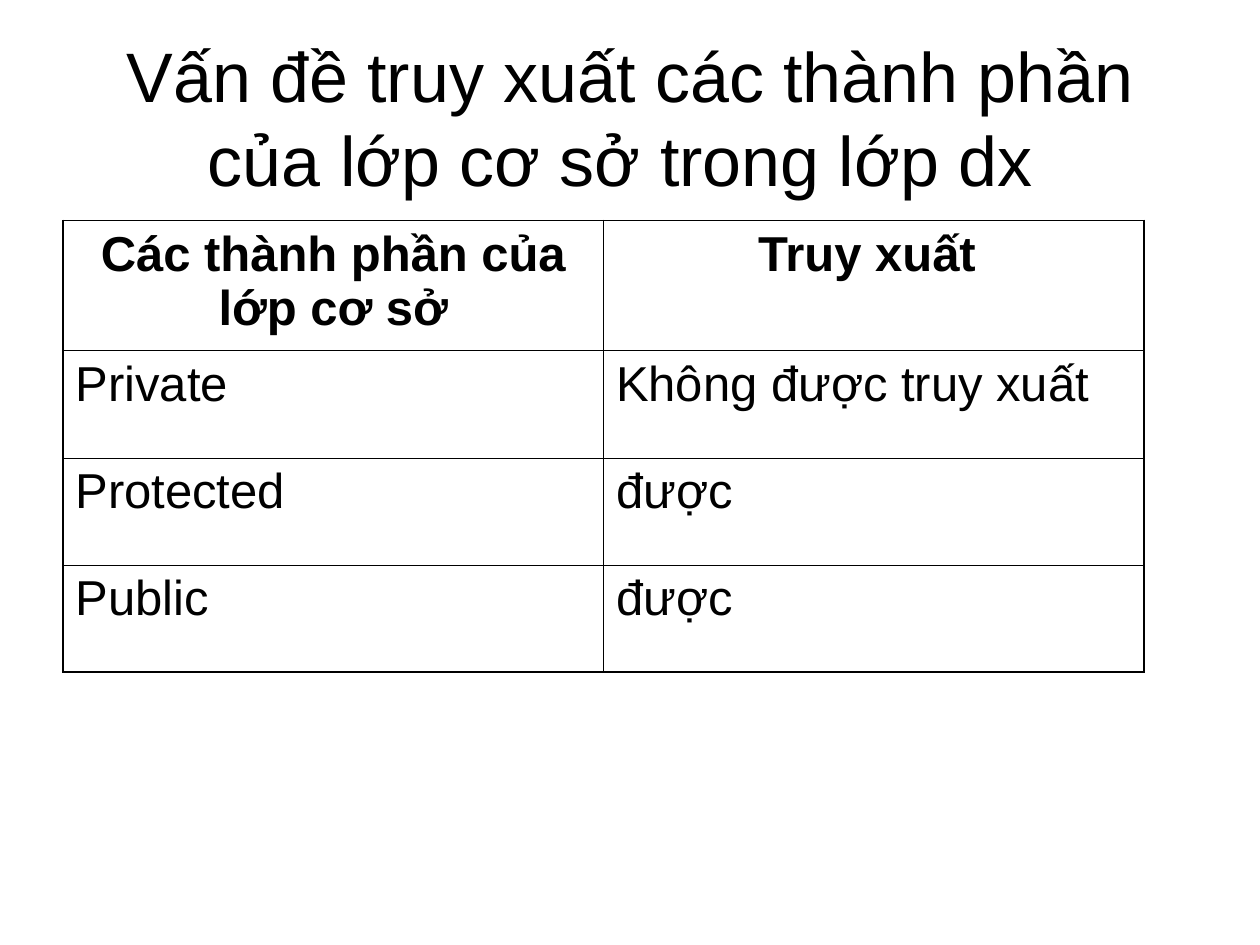
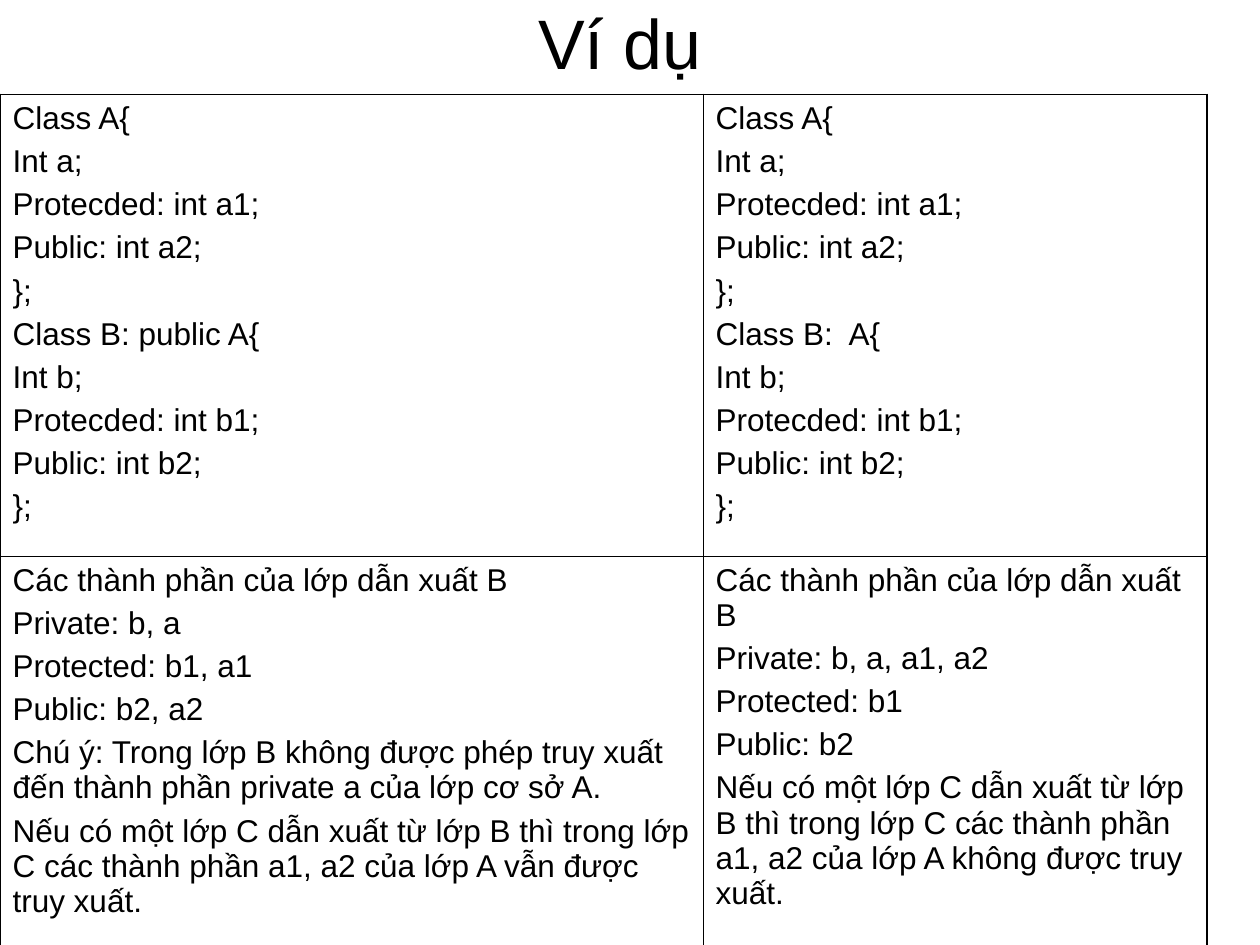
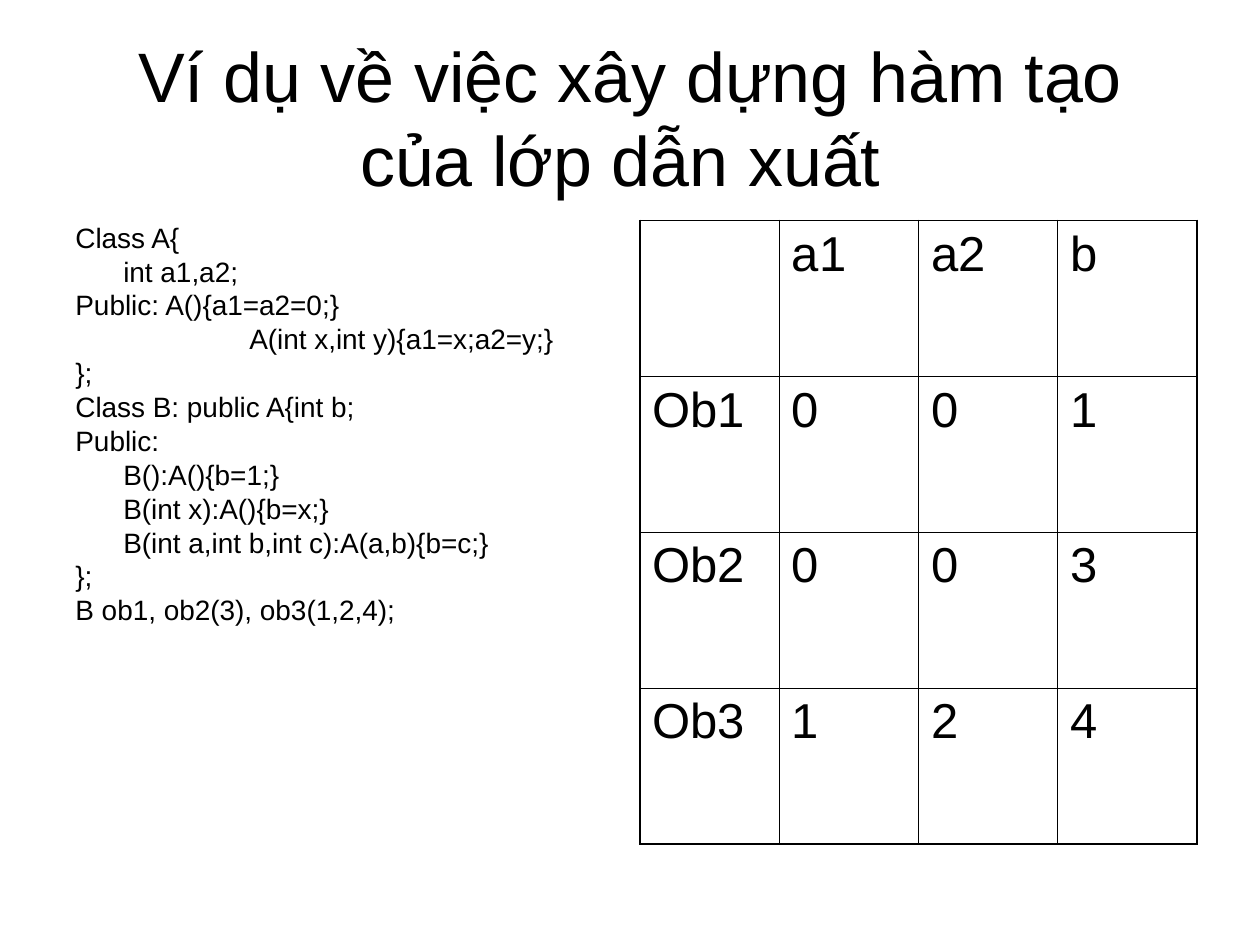
from dataclasses import dataclass

from lxml.etree import SubElement
from pptx import Presentation
from pptx.dml.color import RGBColor
from pptx.enum.text import MSO_ANCHOR, PP_ALIGN
from pptx.oxml.ns import qn
from pptx.util import Inches, Pt


@dataclass(frozen=True)
class Theme:
    font: str = "Arial"
    ink: str = "000000"
    title_size: float = 40
    table_size: float = 28
    example_size: float = 18
    code_size: float = 16
    outer_line: float = 1.08
    inner_line: float = 0.45


THEME = Theme()
BODY_TOP = 1.75
CODE_INDENTS = (0, 0.38, 1.38)

ACCESS_ROWS = [
    ["Các thành phần của lớp cơ sở", "Truy xuất "],
    ["Private", "Không được truy xuất"],
    ["Protected", "được"],
    ["Public", "được"],
]

# The two class listings differ only in how B inherits from A
CLASS_LISTING = """Class A{{
Int a;
Protecded: int a1;
Public: int a2;
}};
Class B: {inheritance} A{{
Int b;
Protecded: int b1;
Public: int b2;
}};"""

PUBLIC_RESULT = """Các thành phần của lớp dẫn xuất B
Private: b, a
Protected: b1, a1
Public: b2, a2
Chú ý: Trong lớp B không được phép truy xuất đến thành phần private a của lớp cơ sở A.
Nếu có một lớp C dẫn xuất từ lớp B thì trong lớp C các thành phần a1, a2 của lớp A vẫn được truy xuất."""

PRIVATE_RESULT = """Các thành phần của lớp dẫn xuất B
Private: b, a, a1, a2
Protected: b1
Public: b2
Nếu có một lớp C dẫn xuất từ lớp B thì trong lớp C các thành phần a1, a2 của lớp A không được truy xuất."""

# Indent level and text of each code line
CONSTRUCTOR_CODE = [
    (0, "Class A{"),
    (1, "int a1,a2;"),
    (0, "Public: A(){a1=a2=0;}"),
    (2, "A(int x,int y){a1=x;a2=y;}"),
    (0, "};"),
    (0, "Class B: public A{int b;"),
    (0, "Public:"),
    (1, "B():A(){b=1;}"),
    (1, "B(int x):A(){b=x;}"),
    (1, "B(int a,int b,int c):A(a,b){b=c;}"),
    (0, "};"),
    (0, "B ob1, ob2(3), ob3(1,2,4);"),
]

OBJECT_ROWS = [
    ["", "a1", "a2", "b"],
    ["Ob1", "0", "0", "1"],
    ["Ob2", "0", "0", "3"],
    ["Ob3", "1", "2", "4"],
]


def format_text(text_frame, size, space_before=0, bold=False, align=PP_ALIGN.LEFT):
    for paragraph in text_frame.paragraphs:
        paragraph.alignment = align
        paragraph.space_before = Pt(space_before)
        for run in paragraph.runs:
            run.font.name = THEME.font
            run.font.size = Pt(size)
            run.font.bold = bold
            run.font.color.rgb = RGBColor.from_string(THEME.ink)


def add_text(slide, text, left, top, width, height):
    shape = slide.shapes.add_textbox(
        Inches(left), Inches(top), Inches(width), Inches(height))
    text_frame = shape.text_frame
    text_frame.word_wrap = True
    text_frame.text = text
    return text_frame


def add_title(slide, text, left=0.5, top=0.3, anchor=MSO_ANCHOR.MIDDLE):
    text_frame = add_text(slide, text, left, top, 9, 1.25)
    text_frame.vertical_anchor = anchor
    format_text(text_frame, THEME.title_size, align=PP_ALIGN.CENTER)
    return text_frame


def add_code(slide, lines, left, top, width, height):
    text_frame = add_text(
        slide, "\n".join(text for _, text in lines), left, top, width, height)
    format_text(text_frame, THEME.code_size, space_before=4)
    for paragraph, (level, _) in zip(text_frame.paragraphs, lines):
        paragraph.line_spacing = 0.8
        properties = paragraph._p.get_or_add_pPr()
        properties.set("marL", str(Inches(CODE_INDENTS[level])))
        properties.set("indent", "0")


def set_borders(cell, outer_sides):
    """Draw heavier lines on the sides that lie on the table's edge."""
    properties = cell._tc.get_or_add_tcPr()
    for side, is_outer in zip("LRTB", outer_sides):
        width = THEME.outer_line if is_outer else THEME.inner_line
        line = SubElement(properties, qn(f"a:ln{side}"), w=str(Pt(width)))
        fill = SubElement(line, qn("a:solidFill"))
        SubElement(fill, qn("a:srgbClr"), val=THEME.ink)


def add_grid(slide, rows, left, top, widths, heights, size,
             space_before=7, bold_header=False):
    shape = slide.shapes.add_table(
        len(heights), len(widths), Inches(left), Inches(top),
        Inches(sum(widths)), Inches(sum(heights)))
    table = shape.table
    table.first_row = table.horz_banding = False
    for column, width in zip(table.columns, widths):
        column.width = Inches(width)
    for row, height in zip(table.rows, heights):
        row.height = Inches(height)

    last_row, last_column = len(heights) - 1, len(widths) - 1
    for i, texts in enumerate(rows):
        for j, text in enumerate(texts):
            cell = table.cell(i, j)
            cell.text_frame.text = text
            header = bold_header and i == 0
            format_text(cell.text_frame, size, space_before, bold=header,
                        align=PP_ALIGN.CENTER if header else PP_ALIGN.LEFT)
            set_borders(cell, (j == 0, j == last_column, i == 0, i == last_row))
            cell.fill.background()


def build_access_slide(slide):
    add_title(slide, "Vấn đề truy xuất các thành phần của lớp cơ sở trong lớp dx ")
    add_grid(slide, ACCESS_ROWS, 0.5, BODY_TOP, [4.29] * 2, [1.03] + [0.85] * 3,
             THEME.table_size, bold_header=True)


def build_inheritance_slide(slide):
    title = add_title(slide, "Ví dụ", left=0.42, top=0, anchor=MSO_ANCHOR.TOP)
    title.margin_top = 0
    listings = [
        CLASS_LISTING.format(inheritance=word) for word in ("public", "")]
    add_grid(slide, [listings, [PUBLIC_RESULT, PRIVATE_RESULT]], 0, 0.75,
             [5.58, 4], [3.66, 3.11], THEME.example_size, space_before=4.5)


def build_constructor_slide(slide):
    add_title(slide, "Ví dụ về việc xây dựng hàm tạo của lớp dẫn xuất ")
    add_code(slide, CONSTRUCTOR_CODE, 0.5, BODY_TOP, 4.42, 4.95)
    add_grid(slide, OBJECT_ROWS, 5.08, BODY_TOP, [4.42 / 4] * 4, [4.95 / 4] * 4,
             THEME.table_size)


def main():
    presentation = Presentation()
    presentation.slide_width = Inches(10)
    presentation.slide_height = Inches(7.5)
    blank_layout = presentation.slide_layouts[6]
    for build in (build_access_slide, build_inheritance_slide, build_constructor_slide):
        build(presentation.slides.add_slide(blank_layout))
    presentation.save("out.pptx")


main()
